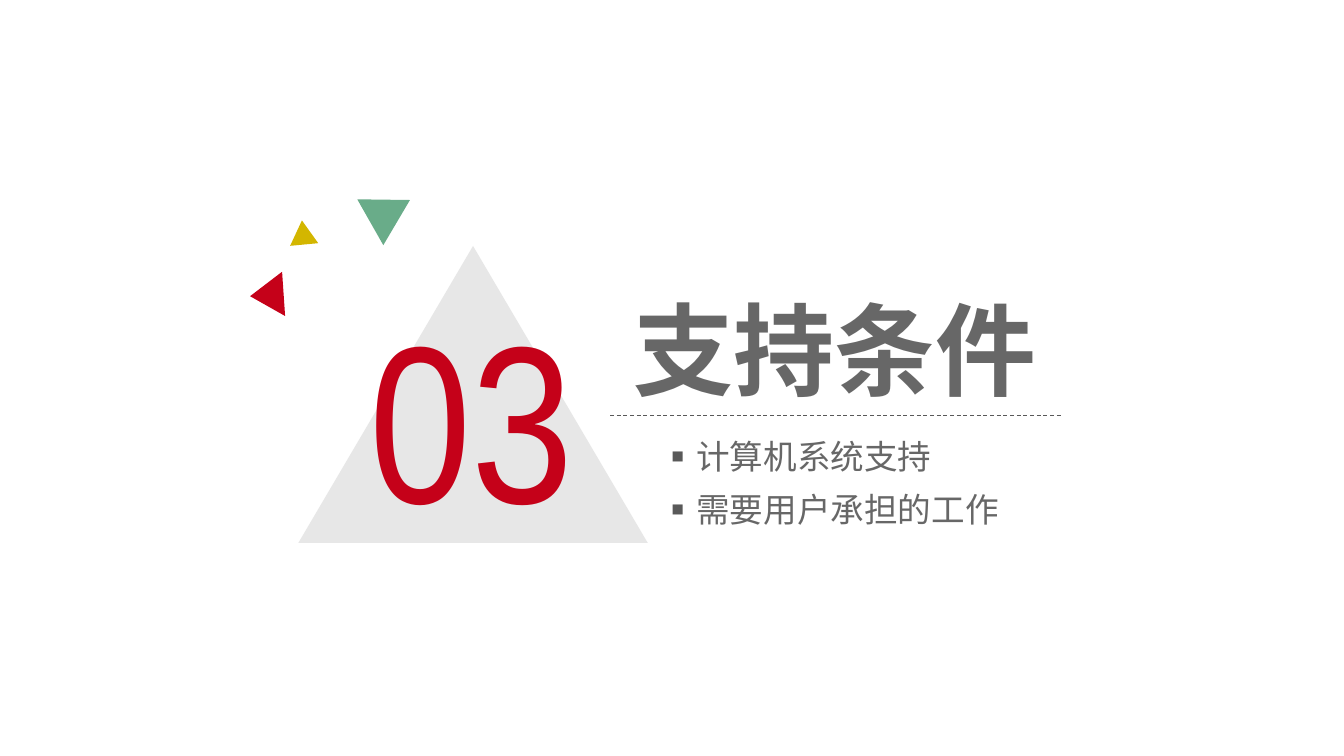
from dataclasses import dataclass

import pptx
import pptx.dml.color
import pptx.enum.dml
import pptx.enum.shapes
import pptx.enum.text
import pptx.oxml.ns
import pptx.util
from pptx.util import Inches


@dataclass(frozen=True)
class Theme:
    gray: str = "595959"
    red: str = "C50119"
    green: str = "69AC89"
    yellow: str = "D3B600"
    number_font: str = "Arial Narrow"
    text_font: str = "Noto Sans CJK SC"
    number_size: int = 120
    title_size: int = 54
    list_size: int = 18
    line_ratio: float = 1.2
    text_alpha: int = 91


@dataclass(frozen=True)
class Triangle:
    left: float
    top: float
    width: float
    height: float
    color: str
    rotation: float = 0
    alpha: int = 100


THEME = Theme()
TRIANGLES = [
    Triangle(2.22, 1.83, 2.6, 2.21, THEME.gray, alpha=14),
    Triangle(2.61, 1.4, 0.39, 0.34, THEME.green, 300.6),
    Triangle(2.15, 1.64, 0.21, 0.18, THEME.yellow, 354.7),
    Triangle(1.82, 2.07, 0.33, 0.25, THEME.red, 266.1),
]
TOPICS = ["计算机系统支持", "需要用户承担的工作"]


def add_xml(parent, tag: str, **attributes):
    """Append a DrawingML element and return it."""
    element = parent.makeelement(pptx.oxml.ns.qn(tag), attributes)
    parent.append(element)
    return element


def paint(fill, color: str) -> None:
    fill.solid()
    fill.fore_color.rgb = pptx.dml.color.RGBColor.from_string(color)


def fade(element, alpha: int) -> None:
    """Give the colours inside an element an opacity in percent."""
    for rgb in element.iter(pptx.oxml.ns.qn("a:srgbClr")):
        add_xml(rgb, "a:alpha", val=str(alpha * 1000))


def place(shape, left: float, top: float, width: float, height: float) -> None:
    shape.left, shape.top = Inches(left), Inches(top)
    shape.width, shape.height = Inches(width), Inches(height)


def write(paragraph, text: str, *, size: int, font: str, color: str,
          alpha: int = 100, bold: bool = False, line_height: float = 0,
          gap: float = 0) -> None:
    """Put one formatted run into a paragraph."""
    paragraph.alignment = pptx.enum.text.PP_ALIGN.LEFT
    paragraph.space_before = pptx.util.Pt(0)
    paragraph.space_after = pptx.util.Pt(gap)
    if line_height:
        paragraph.line_spacing = pptx.util.Pt(line_height)
    run = paragraph.add_run()
    run.text = text
    run.font.size = pptx.util.Pt(size)
    run.font.bold = bold
    paint(run.font.fill, color)
    if alpha < 100:
        fade(run._r, alpha)
    run.font.name = font
    add_xml(run._r.get_or_add_rPr(), "a:ea", typeface=font)


def prepare(frame) -> None:
    frame.word_wrap = True
    frame.auto_size = pptx.enum.text.MSO_AUTO_SIZE.NONE
    frame.vertical_anchor = pptx.enum.text.MSO_ANCHOR.TOP


def add_bullet(paragraph, color: str, indent: float) -> None:
    props = paragraph._p.get_or_add_pPr()
    props.set("marL", str(Inches(indent)))
    props.set("indent", str(-Inches(indent)))
    add_xml(add_xml(props, "a:buClr"), "a:srgbClr", val=color)
    add_xml(props, "a:buSzPct", val="120000")
    add_xml(props, "a:buFont", typeface="Arial")
    add_xml(props, "a:buChar", char="▪")


def draw_triangle(slide, item: Triangle) -> None:
    triangle = slide.shapes.add_shape(
        pptx.enum.shapes.MSO_SHAPE.ISOSCELES_TRIANGLE,
        Inches(item.left), Inches(item.top),
        Inches(item.width), Inches(item.height))
    triangle.rotation = item.rotation
    triangle.shadow.inherit = False
    triangle.line.fill.background()
    paint(triangle.fill, item.color)
    if item.alpha < 100:
        fade(triangle._element, item.alpha)


def draw_divider(slide, left: float, right: float, y: float) -> None:
    divider = slide.shapes.add_connector(
        pptx.enum.shapes.MSO_CONNECTOR.STRAIGHT,
        Inches(left), Inches(y), Inches(right), Inches(y))
    divider.line.width = pptx.util.Pt(0.5)
    paint(divider.line.fill, THEME.gray)
    divider.line.dash_style = pptx.enum.dml.MSO_LINE.DASH
    add_xml(divider._element.spPr, "a:effectLst")


def main() -> None:
    # A 16:9 slide, 10 inches wide
    deck = pptx.Presentation()
    deck.slide_width, deck.slide_height = Inches(10), Inches(10 * 9 / 16)
    slide = deck.slides.add_slide(deck.slide_layouts[1])

    # Triangles
    for item in TRIANGLES:
        draw_triangle(slide, item)

    # Section number
    number = slide.shapes.add_textbox(
        Inches(2.65), Inches(2.03), Inches(2), Inches(2.12))
    prepare(number.text_frame)
    write(number.text_frame.paragraphs[0], "03", size=THEME.number_size,
          font=THEME.number_font, color=THEME.red)

    # Section title
    title = slide.shapes.title
    place(title, 4.61, 2.09, 3.2, 1.06)
    prepare(title.text_frame)
    title.text_frame.margin_right = 0
    write(title.text_frame.paragraphs[0], "支持条件", size=THEME.title_size,
          font=THEME.text_font, color=THEME.gray, alpha=THEME.text_alpha,
          bold=True, line_height=THEME.title_size * THEME.line_ratio)

    draw_divider(slide, 4.54, 7.91, 3.09)

    # Topic list
    topics = slide.placeholders[1]
    place(topics, 4.99, 3.19, 2.54, 0.82)
    frame = topics.text_frame
    prepare(frame)
    frame.margin_left = frame.margin_right = 0
    for index, topic in enumerate(TOPICS):
        paragraph = frame.add_paragraph() if index else frame.paragraphs[0]
        write(paragraph, topic, size=THEME.list_size, font=THEME.text_font,
              color=THEME.gray, alpha=THEME.text_alpha,
              line_height=THEME.list_size * THEME.line_ratio, gap=6.8)
        add_bullet(paragraph, THEME.gray, 0.19)

    deck.save("out.pptx")


if __name__ == "__main__":
    main()
